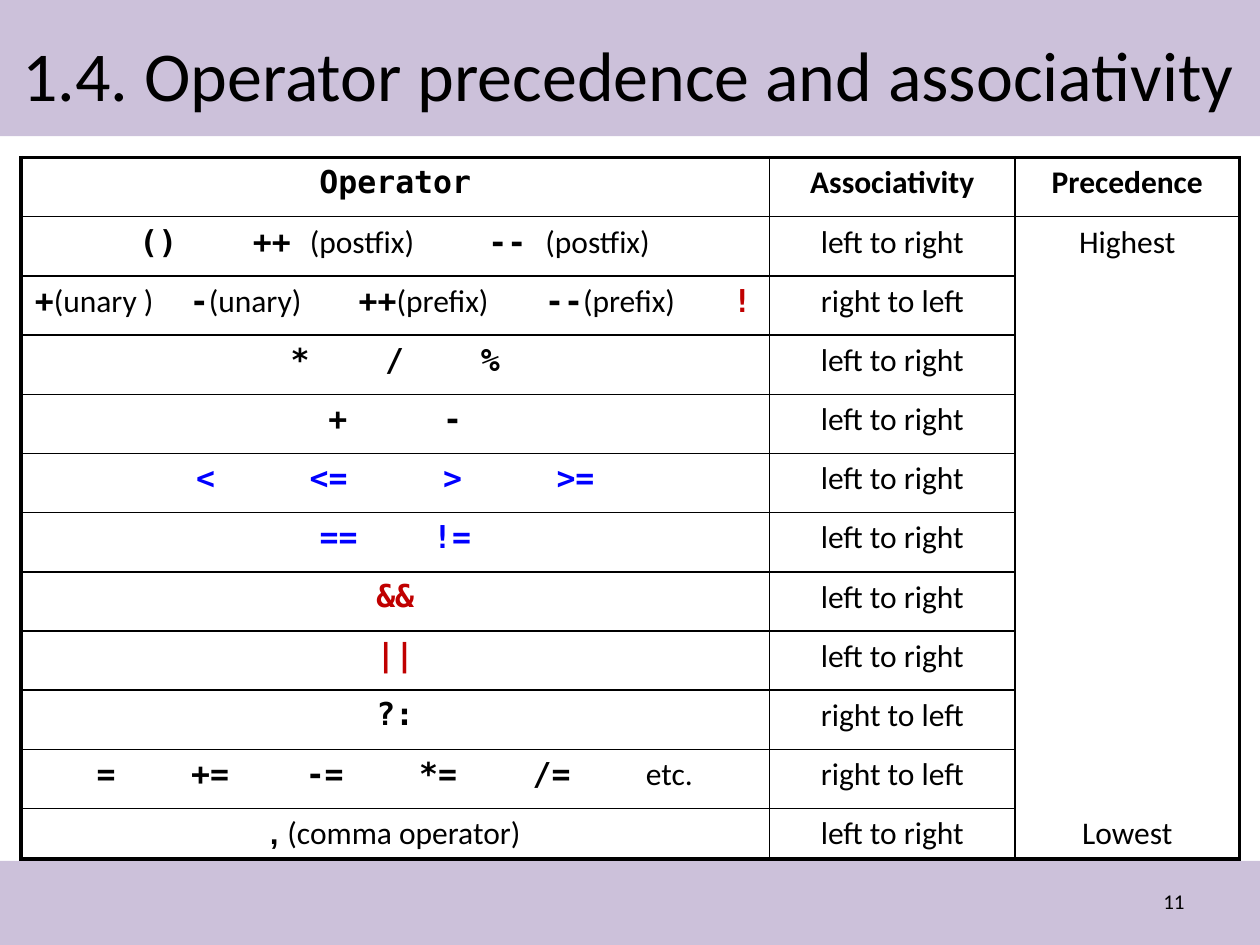
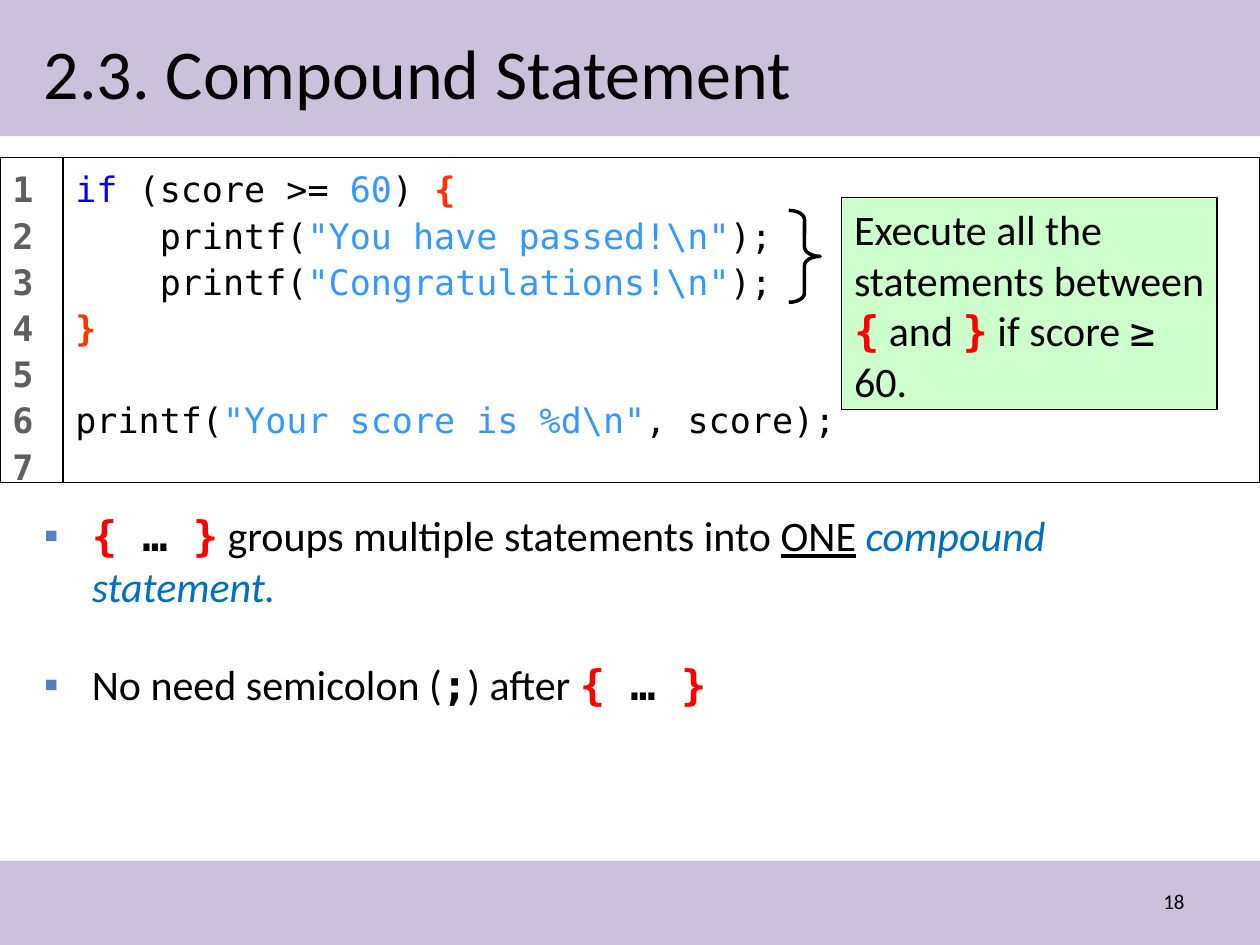
"""Build two lecture slides on C operators and compound statements."""
from dataclasses import dataclass
from typing import Any, Optional

from lxml.etree import SubElement
from pptx import Presentation
from pptx.dml.color import RGBColor
from pptx.enum.shapes import MSO_SHAPE
from pptx.enum.text import MSO_ANCHOR, PP_ALIGN
from pptx.oxml import parse_xml
from pptx.oxml.ns import nsdecls, qn
from pptx.util import Emu, Inches, Pt


@dataclass(frozen=True)
class Theme:
    band: str = "CCC1DA"
    black: str = "000000"
    white: str = "FFFFFF"
    gray: str = "5F5F5F"
    keyword: str = "0000FF"
    literal: str = "3399FF"
    code_brace: str = "FF3300"
    red: str = "FF0000"
    logic: str = "C00000"
    term: str = "0070C0"
    bullet: str = "4F81BD"
    note: str = "CCFFCC"
    sans: str = "Calibri"
    mono: str = "DejaVu Sans Mono"
    title_size: float = 40
    body_size: float = 24
    code_size: float = 20
    table_size: float = 18
    number_size: float = 12
    thin: float = 0.75
    rule: float = 1
    brace: float = 2
    frame: float = 2.25


THEME = Theme()
WIDTH, HEIGHT = 10, 7.5


@dataclass(frozen=True)
class Box:
    """Left, top, width and height as shares of the slide."""
    left: float
    top: float
    width: float
    height: float

    def lengths(self) -> tuple[Emu, ...]:
        return (Inches(self.left * WIDTH), Inches(self.top * HEIGHT),
                Inches(self.width * WIDTH), Inches(self.height * HEIGHT))


@dataclass(frozen=True)
class Span:
    text: str
    color: str = THEME.black
    font: str = THEME.sans
    bold: bool = False
    italic: bool = False
    underline: bool = False


@dataclass(frozen=True)
class Line:
    spans: tuple[Span, ...]
    align: PP_ALIGN = PP_ALIGN.LEFT
    spacing: float = 1
    before: float = 0
    indent: float = 0
    bullet: str = ""
    stops: tuple[float, ...] = ()


@dataclass(frozen=True)
class OperatorRow:
    operators: Line
    associativity: str
    precedence: str = ""


def mono(text: str, color: str = THEME.black, bold: bool = True) -> Span:
    return Span(text, color, THEME.mono, bold)


def code(text: str, color: str = THEME.black) -> Span:
    return mono(text, color, False)


def centered(*spans: Span) -> Line:
    return Line(spans, PP_ALIGN.CENTER)


def spread(stops: tuple[float, ...], *groups: tuple[Span, ...]) -> Line:
    """Start each group of spans at its own tab stop, in inches."""
    return Line(tuple(span for group in groups for span in (Span("\t"), *group)), stops=stops)


def spread_mono(symbols: str, stops: tuple[float, ...], color: str = THEME.black) -> Line:
    return spread(stops, *((mono(symbol, color),) for symbol in symbols.split()))


def apply(target: Any, values: dict[str, Any]) -> None:
    for name, value in values.items():
        setattr(target, name, value)


def format_paragraph(paragraph: Any, line: Line) -> None:
    """Set spacing, indent, bullet and tab stops."""
    apply(paragraph, {"alignment": line.align, "line_spacing": line.spacing,
                      "space_before": Pt(line.before)})
    properties = paragraph._p.get_or_add_pPr()
    if line.indent:
        properties.set("marL", str(Inches(line.indent)))
        properties.set("indent", str(-Inches(line.indent) if line.bullet else 0))
    if line.bullet:
        color = SubElement(properties, qn("a:buClr"))
        SubElement(color, qn("a:srgbClr"), val=THEME.bullet)
        SubElement(properties, qn("a:buFont"), typeface="Arial")
        SubElement(properties, qn("a:buChar"), char=line.bullet)
    if line.stops:
        tabs = SubElement(properties, qn("a:tabLst"))
        for stop in line.stops:
            SubElement(tabs, qn("a:tab"), pos=str(Inches(stop)), algn="l")


def write(frame: Any, lines: tuple[Line, ...], size: float) -> None:
    for index, line in enumerate(lines):
        paragraph = frame.add_paragraph() if index else frame.paragraphs[0]
        format_paragraph(paragraph, line)
        for span in line.spans:
            run = paragraph.add_run()
            run.text = span.text
            apply(run.font, {"name": span.font, "size": Pt(size), "bold": span.bold,
                             "italic": span.italic, "underline": span.underline})
            run.font.color.rgb = RGBColor.from_string(span.color)


def add_text(slide: Any, box: Box, lines: tuple[Line, ...], size: float,
             anchor: MSO_ANCHOR = MSO_ANCHOR.TOP) -> None:
    frame = slide.shapes.add_textbox(*box.lengths()).text_frame
    apply(frame, {"word_wrap": True, "vertical_anchor": anchor})
    write(frame, lines, size)


def add_panel(slide: Any, box: Box, fill: Optional[str], line_width: float = 0,
              kind: MSO_SHAPE = MSO_SHAPE.RECTANGLE) -> Any:
    """Draw a flat preset shape with an optional fill and black outline."""
    shape = slide.shapes.add_shape(kind, *box.lengths())
    shape.shadow.inherit = False
    if fill:
        shape.fill.solid()
        shape.fill.fore_color.rgb = RGBColor.from_string(fill)
    else:
        shape.fill.background()
    if line_width:
        shape.line.color.rgb = RGBColor.from_string(THEME.black)
        shape.line.width = Pt(line_width)
    else:
        shape.line.fill.background()
    apply(shape.text_frame, {"word_wrap": True, "vertical_anchor": MSO_ANCHOR.TOP})
    return shape


def add_slide(presentation: Any, title: str, title_box: Box, number: int) -> Any:
    """Add a blank slide with bands, title and page number."""
    slide = presentation.slides.add_slide(presentation.slide_layouts[6])
    for band in (Box(0, 0, 1, 0.144), Box(0, 0.911, 1, 0.089)):
        add_panel(slide, band, THEME.band)
    add_text(slide, Box(0.717, 0.927, 0.233, 0.053),
             (Line((Span(str(number)),), PP_ALIGN.RIGHT),), THEME.number_size, MSO_ANCHOR.MIDDLE)
    add_text(slide, title_box, (Line((Span(title),)),), THEME.title_size, MSO_ANCHOR.MIDDLE)
    return slide


def set_borders(cell: Any, widths: dict[str, float]) -> None:
    """Draw left, right, top and bottom borders; zero hides one."""
    properties = cell._tc.get_or_add_tcPr()
    for index, (side, width) in enumerate(widths.items()):
        paint = (f'<a:solidFill><a:srgbClr val="{THEME.black}"/></a:solidFill>'
                 if width else "<a:noFill/>")
        properties.insert(index, parse_xml(
            f'<a:ln{side} {nsdecls("a")} w="{Pt(width)}">{paint}</a:ln{side}>'))


def add_operator_table(slide: Any, rows: tuple[OperatorRow, ...]) -> None:
    """Draw the operators from highest to lowest precedence."""
    widths = (5.94, 1.95, 1.78)
    last = len(rows)
    table = slide.shapes.add_table(last + 1, len(widths),
                                   *Box(0.0167, 0.1667, 0.967, 0.745).lengths()).table
    apply(table, {"first_row": False, "horz_banding": False})
    for column, width in zip(table.columns, widths):
        column.width = Inches(width)
    for index, row in enumerate(table.rows):
        row.height = Inches(0.4 if index == last else 0.47)
    header = (centered(mono("Operator")), centered(Span("Associativity", bold=True)),
              centered(Span("Precedence", bold=True)))
    body = [(row.operators, centered(Span(row.associativity)), centered(Span(row.precedence)))
            for row in rows]
    for row_index, lines in enumerate([header, *body]):
        for column_index, line in enumerate(lines):
            cell = table.cell(row_index, column_index)
            cell.fill.solid()
            cell.fill.fore_color.rgb = RGBColor.from_string(THEME.white)
            if line.spans[0].text:
                write(cell.text_frame, (line,), THEME.table_size)
            ruled = column_index < 2
            set_borders(cell, {
                "L": THEME.frame if column_index == 0 else THEME.rule,
                "R": THEME.frame if column_index == 2 else THEME.rule,
                "T": THEME.frame if row_index == 0
                else THEME.rule if ruled or row_index == 1 else 0,
                "B": THEME.frame if row_index == last
                else THEME.rule if ruled or row_index == 0 else 0})
    table.cell(2, 2).merge(table.cell(4, 2))


def build_precedence(presentation: Any) -> None:
    slide = add_slide(presentation, "1.4. Operator precedence and associativity",
                      Box(0.008, 0.0227, 0.983, 0.111), 11)
    left, right = "left to right", "right to left"
    add_operator_table(slide, (
        OperatorRow(spread((0.84, 1.74, 3.61), (mono("()"),),
                           *((mono(sign + " "), Span("(postfix)")) for sign in ("++", "--"))),
                    left, "Highest"),
        OperatorRow(spread((0.01, 1.24, 2.58, 4.06, 5.55),
                           (mono("+"), Span("(unary )")), (mono("-"), Span("(unary)")),
                           *((mono(sign), Span("(prefix)")) for sign in ("++", "--")),
                           (mono("!", THEME.logic),)), right),
        OperatorRow(spread_mono("* / %", (2.04, 2.79, 3.55)), left),
        OperatorRow(spread_mono("+ -", (2.34, 3.25)), left),
        OperatorRow(spread_mono("< <= > >=", (1.29, 2.19, 3.25, 4.15), THEME.keyword), left),
        OperatorRow(spread_mono("== !=", (2.27, 3.17), THEME.keyword), left),
        OperatorRow(centered(mono("&&", THEME.logic)), left),
        OperatorRow(centered(mono("||", THEME.logic)), left),
        OperatorRow(centered(mono("?:")), right),
        OperatorRow(spread((0.5, 1.25, 2.16, 3.06, 3.96, 4.86),
                           *((mono(sign),) for sign in "= += -= *= /=".split()),
                           (Span("etc."),)), right),
        OperatorRow(centered(Span(", ", font="Arial", bold=True), Span("(comma operator)")),
                    left, "Lowest")))


def print_line(text: str, rest: str = ");", **layout: float) -> Line:
    return Line((code("printf("), code(text, THEME.literal), code(rest)), spacing=1.1, **layout)


def build_compound(presentation: Any) -> None:
    slide = add_slide(presentation, "2.3. Compound Statement",
                      Box(0.025, 0.024, 0.926, 0.104), 18)
    top, height, gutter = 0.1667, 0.344, 0.05
    listing = add_panel(slide, Box(gutter, top, 1 - gutter, height), THEME.white, THEME.thin)
    write(listing.text_frame, (
        Line((code("if ", THEME.keyword), code("(score >= "), code("60", THEME.literal),
              code(") "), mono("{", THEME.code_brace)), spacing=1.1),
        print_line('"You have passed!\\n"', indent=0.67),
        print_line('"Congratulations!\\n"', indent=0.67),
        Line((mono("}", THEME.code_brace),), spacing=1.1),
        print_line('"Your score is %d\\n"', ", score);", before=26.4)), THEME.code_size)
    numbers = add_panel(slide, Box(0, top, gutter, height), THEME.white, THEME.thin)
    numbers.text_frame.margin_right = 0
    write(numbers.text_frame, tuple(Line((mono(str(number), THEME.gray),), spacing=1.1)
                                    for number in range(1, 8)), THEME.code_size)
    opening, closing = mono("{", THEME.red), mono("}", THEME.red)
    block = (mono("{ ", THEME.red), mono("… "), closing)
    add_text(slide, Box(0.025, 0.533, 0.962, 0.269), (
        Line((*block, Span(" groups multiple statements into "), Span("ONE", underline=True),
              Span(" "), Span("compound statement.", THEME.term, italic=True)),
             indent=0.38, bullet="▪"),
        Line((Span("No need semicolon ("), mono(";"), Span(") after "), *block),
             indent=0.38, bullet="▪", before=27.5)), THEME.body_size)
    brace = add_panel(slide, Box(0.626, 0.2227, 0.025, 0.0973), None, THEME.brace,
                      MSO_SHAPE.RIGHT_BRACE)
    brace.adjustments[0] = 0.29
    note = add_panel(slide, Box(0.668, 0.2093, 0.298, 0.224), THEME.note, THEME.thin)
    write(note.text_frame, (Line((
        Span("Execute all the statements between "), opening, Span(" and "), closing,
        Span(" if score "), code("≥"), Span(" 60."))),), THEME.body_size)


def main() -> None:
    presentation = Presentation()
    apply(presentation, {"slide_width": Inches(WIDTH), "slide_height": Inches(HEIGHT)})
    build_precedence(presentation)
    build_compound(presentation)
    presentation.save("out.pptx")


main()
